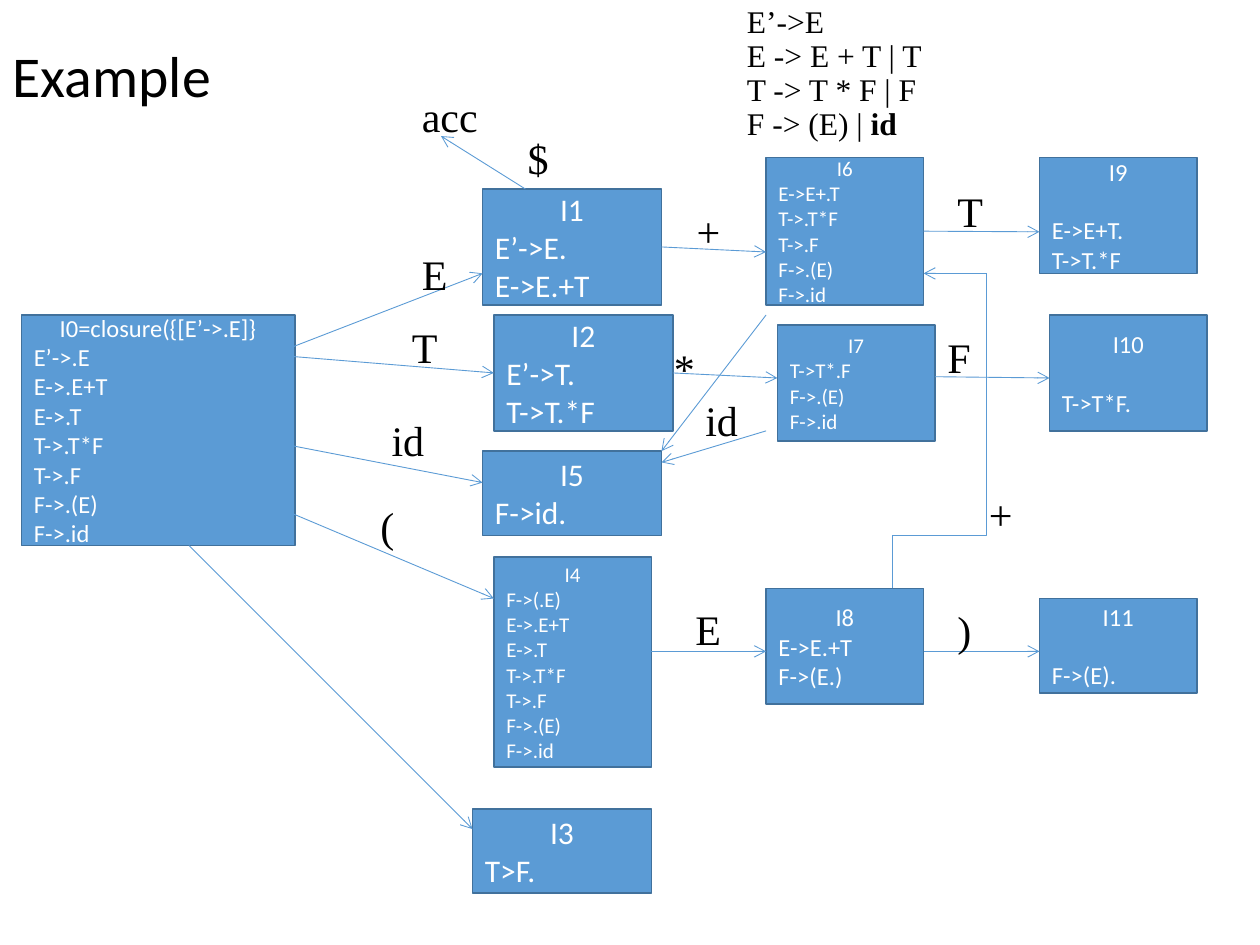
from lxml import etree
from pptx import Presentation
from pptx import util as u
from pptx.dml.color import RGBColor
from pptx.enum import shapes, text
from pptx.oxml.ns import qn

THEME = {
    "ink": "000000", "light": "FFFFFF", "fill": "5B9BD5", "edge": "41719C",
    "sans": "Calibri", "serif": "Times New Roman",
    "title": 33, "grammar": 18, "label": 24,
    "large": 18, "medium": 14, "small": 12,
    "edge_width": 1, "arrow_width": 0.5,
}

GRAMMAR = ["E’->E", "E -> E + T | T", "T -> T * F | F", "F -> (E) | "]

STATES = {
    "I0": ((0.17, 2.5, 2.17, 1.83), "medium", False, "I0=closure({[E’->.E]}",
           ["E’->.E", "E->.E+T", "E->.T", "T->.T*F", "T->.F", "F->.(E)", "F->.id"]),
    "I1": ((3.83, 1.5, 1.42, 0.92), "large", False, "I1", ["E’->E.", "E->E.+T"]),
    "I2": ((3.92, 2.5, 1.42, 0.92), "large", False, "I2", ["E’->T.", "T->T.*F"]),
    "I3": ((3.75, 6.42, 1.42, 0.67), "large", False, "I3", ["T>F."]),
    "I4": ((3.92, 4.42, 1.25, 1.67), "small", False, "I4",
           ["F->(.E)", "E->.E+T", "E->.T", "T->.T*F", "T->.F", "F->.(E)", "F->.id"]),
    "I5": ((3.83, 3.58, 1.42, 0.67), "large", False, "I5", ["F->id."]),
    "I6": ((6.08, 1.25, 1.25, 1.17), "small", False, "I6",
           ["E->E+.T", "T->.T*F", "T->.F", "F->.(E)", "F->.id"]),
    "I7": ((6.17, 2.58, 1.25, 0.92), "small", False, "I7",
           ["T->T*.F", "F->.(E)", "F->.id"]),
    "I8": ((6.08, 4.67, 1.25, 0.92), "medium", False, "I8", ["E->E.+T", "F->(E.)"]),
    "I9": ((8.25, 1.25, 1.25, 0.92), "medium", True, "I9", ["E->E+T.", "T->T.*F"]),
    "I10": ((8.33, 2.5, 1.25, 0.92), "medium", True, "I10", ["T->T*F."]),
    "I11": ((8.25, 4.75, 1.25, 0.75), "medium", True, "I11", ["F->(E)."]),
}

LEFT, RIGHT = 1, 3

ARROWS = [
    ((2.33, 2.75), (3.83, 2.17), True),
    ((2.33, 2.83), ("I2", LEFT), True),
    ((2.33, 4.08), (3.92, 4.75), True),
    ((2.33, 3.54), (3.83, 3.83), True),
    ((1.5, 4.33), (3.75, 6.58), True),
    (("I1", RIGHT), (6.08, 2), True),
    (("I2", RIGHT), (6.17, 3), True),
    ((5.17, 5.17), (6.08, 5.17), True),
    ((7.33, 5.17), (8.25, 5.17), True),
    (("I6", RIGHT), (8.25, 1.84), True),
    ((7.42, 2.99), (8.33, 3), True),
    ((6.08, 3.42), (5.25, 3.67), True),
    ((6.08, 2.5), (5.25, 3.58), True),
    ((7.83, 3.83), (7.83, 2.17), False),
    ((7.83, 2.17), (7.33, 2.17), True),
    ((4.17, 1.5), (3.5, 1.08), True),
]
ELBOW = ((7.08, 4.67), (7.83, 3.83))

LABELS = [
    ("E", 3.25, 1.92, 0.4), ("T", 3.17, 2.5, 0.4), ("(", 2.92, 3.92, 0.31),
    ("id", 3.01, 3.24, 0.46), ("+", 5.43, 1.58, 0.39), ("*", 5.25, 2.67, 0.36),
    ("E", 5.42, 4.74, 0.4), (")", 7.5, 4.75, 0.31), ("T", 7.5, 1.42, 0.4),
    ("F", 7.42, 2.58, 0.38), ("id", 5.5, 3.08, 0.46), ("+", 7.75, 3.83, 0.39),
    ("$", 4.09, 1, 0.36), ("acc", 3.25, 0.67, 0.67),
]
LABEL_HEIGHT = 0.5


def color(name):
    return RGBColor.from_string(THEME[name])


def inches(values):
    return [u.Inches(value) for value in values]


def write(frame, lines, *, size, font="sans", ink="ink", spacing=None,
          anchor=text.MSO_ANCHOR.TOP, wrap=True, fit=text.MSO_AUTO_SIZE.NONE,
          centered_heading=False, heading_gap=0, bold_end=None):
    frame.word_wrap = wrap
    frame.auto_size = fit
    frame.vertical_anchor = anchor
    for index, line in enumerate(lines):
        paragraph = frame.paragraphs[0] if index == 0 else frame.add_paragraph()
        heading = centered_heading and index == 0
        paragraph.alignment = text.PP_ALIGN.CENTER if heading else text.PP_ALIGN.LEFT
        if heading_gap and index == 0:
            paragraph.space_after = u.Pt(heading_gap)
        if spacing:
            paragraph.line_spacing = spacing
        paragraph.add_run().text = line
        if bold_end and index == len(lines) - 1:
            run = paragraph.add_run()
            run.text = bold_end
            run.font.bold = True
        for run in paragraph.runs:
            run.font.size = u.Pt(THEME[size])
            run.font.name = THEME[font]
            run.font.color.rgb = color(ink)


def add_state(slide, box, size, gap, heading, items):
    shape = slide.shapes.add_shape(shapes.MSO_SHAPE.RECTANGLE, *inches(box))
    shape.shadow.inherit = False
    shape.fill.solid()
    shape.fill.fore_color.rgb = color("fill")
    shape.line.color.rgb = color("edge")
    shape.line.width = u.Pt(THEME["edge_width"])
    write(shape.text_frame, [heading, *items], size=size, ink="light",
          anchor=text.MSO_ANCHOR.MIDDLE, centered_heading=True,
          heading_gap=THEME[size] * 1.2 if gap else 0)
    return shape


def add_line(slide, start, end, kind=shapes.MSO_CONNECTOR.STRAIGHT, arrowhead=False):
    connector = slide.shapes.add_connector(kind, *inches((*start, *end)))
    connector.line.color.rgb = color("fill")
    connector.line.width = u.Pt(THEME["arrow_width"])
    if arrowhead:
        line = connector.line._get_or_add_ln()
        etree.SubElement(line, qn("a:tailEnd"), type="arrow")
    etree.SubElement(connector._element.spPr, qn("a:effectLst"))
    return connector


def side_point(state, side):
    left, top, width, height = STATES[state][0]
    return (left + (width if side == RIGHT else 0), top + height / 2)


def add_arrow(slide, boxes, start, end, arrowhead):
    points = [side_point(*place) if place[0] in boxes else place for place in (start, end)]
    connector = add_line(slide, *points, arrowhead=arrowhead)
    if start[0] in boxes:
        connector.begin_connect(boxes[start[0]], start[1])
    if end[0] in boxes:
        connector.end_connect(boxes[end[0]], end[1])


def add_vertical_elbow(slide, start, end):
    center_x, center_y = ((a + b) / 2 for a, b in zip(start, end))
    half_run, half_rise = (end[0] - start[0]) / 2, (start[1] - end[1]) / 2
    connector = add_line(slide, (center_x + half_rise, center_y + half_run),
                         (center_x - half_rise, center_y - half_run),
                         kind=shapes.MSO_CONNECTOR.ELBOW)
    connector._element.spPr.find(qn("a:xfrm")).set("rot", str(90 * 60000))


def main():
    presentation = Presentation()
    presentation.slide_width, presentation.slide_height = inches((10, 7.5))
    slide = presentation.slides.add_slide(presentation.slide_layouts[5])

    title = slide.shapes.title
    title.left, title.top, title.width, title.height = inches((0, 0, 9, 1.25))
    write(title.text_frame, ["Example"], size="title", spacing=0.9,
          anchor=text.MSO_ANCHOR.MIDDLE)

    grammar = slide.shapes.add_textbox(*inches((5.83, 0, 4.17, 1.18)))
    write(grammar.text_frame, GRAMMAR, size="grammar", font="serif", spacing=0.9,
          bold_end="id")

    boxes = {name: add_state(slide, *state) for name, state in STATES.items()}
    for arrow in ARROWS:
        add_arrow(slide, boxes, *arrow)
    add_vertical_elbow(slide, *ELBOW)

    for symbol, left, top, width in LABELS:
        label = slide.shapes.add_textbox(*inches((left, top, width, LABEL_HEIGHT)))
        write(label.text_frame, [symbol], size="label", font="serif", wrap=False,
              fit=text.MSO_AUTO_SIZE.SHAPE_TO_FIT_TEXT)

    presentation.save("out.pptx")


if __name__ == "__main__":
    main()
